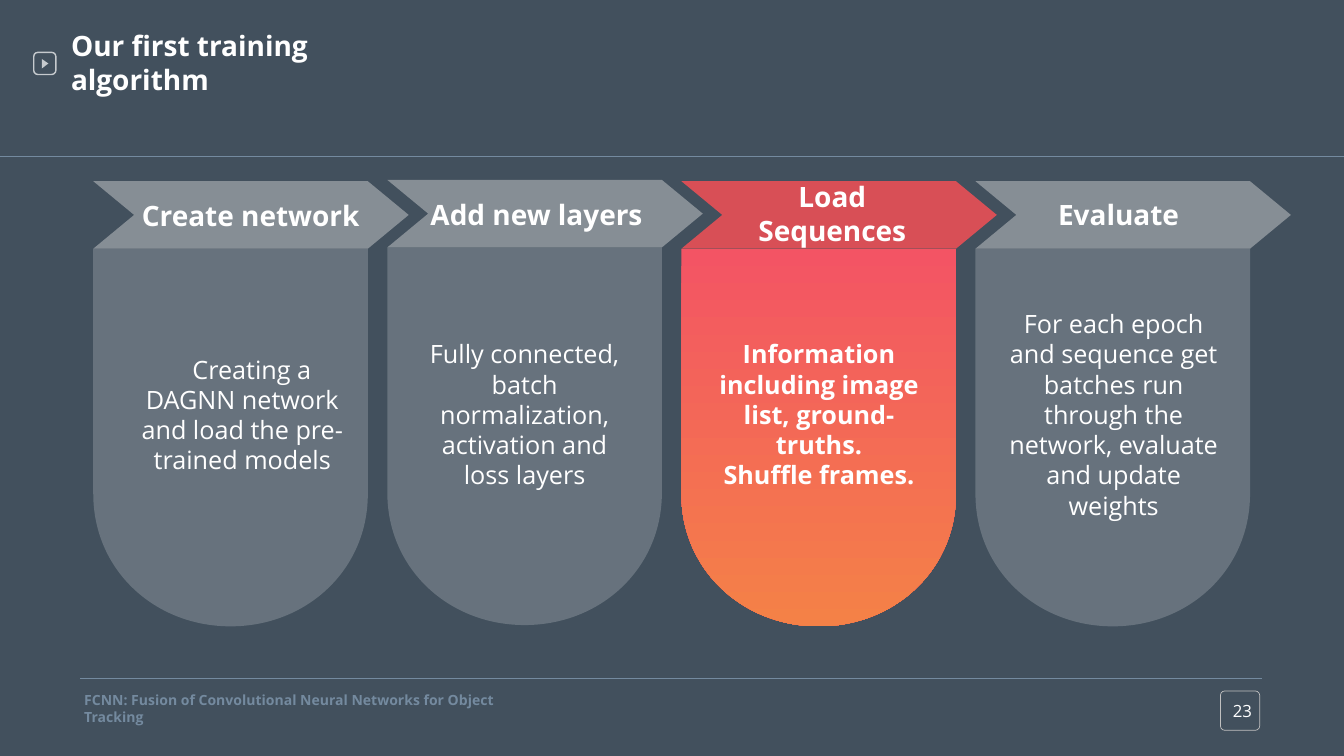
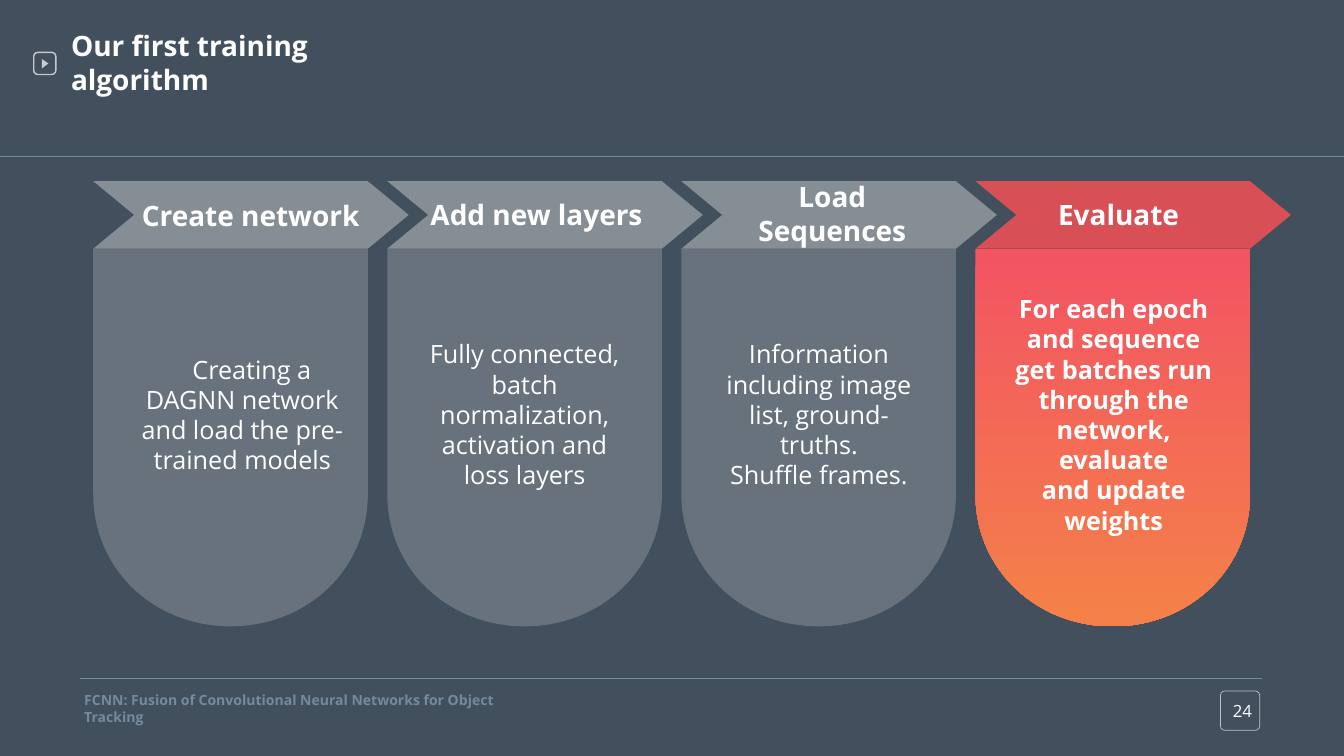
from lxml.etree import SubElement
from pptx import Presentation
from pptx.dml.color import RGBColor
from pptx.enum.shapes import MSO_CONNECTOR, MSO_SHAPE
from pptx.enum.text import MSO_ANCHOR, MSO_AUTO_SIZE, PP_ALIGN
from pptx.oxml.ns import qn
from pptx.util import Inches, Pt

WIDE, HIGH = Inches(26.67), Inches(15)
FONT = "Open Sans"
INK = {
    "back": "42505D", "white": "FFFFFF", "rule": "748A9F", "frame": "C0C0C0",
    "head": "A4A9AD", "body": "BDC3C7", "hot": "D84F56",
    "top": "F35464", "base": "F48147",
}
LEFT, PITCH, SPAN = 6.94, 21.88, 20.43
TOP, MID, SEAM, BEND, FOOT = 23.97, 28.43, 32.9, 65.33, 82.85
NOTCH, PULL, DROP = 3.04, 4.57, 75.4
TITLE = "Our first training algorithm"
TAG = "FCNN: Fusion of Convolutional Neural Networks for Object Tracking"
STEPS = [
    {"name": "Create network", "head": (3.52, 25.2, 16.39),
     "note": (0.93, 18.45, 12.87), "indent": True,
     "lines": ["Creating a DAGNN network and load the pre-trained models"]},
    {"name": "Add new layers", "head": (2.45, 25.13, 17.29),
     "note": (2.04, 16.35, 20.93),
     "lines": ["Fully connected, batch normalization, activation and loss layers"]},
    {"name": "Load Sequences", "head": (3.03, 24.93, 16.39),
     "note": (2.06, 16.35, 20.93),
     "lines": ["Information including image list, ground-truths.", "Shuffle frames."]},
    {"name": "Evaluate", "head": (2.45, 25.13, 16.39),
     "note": (2.11, 16.35, 29),
     "lines": ["For each epoch and sequence get batches run through the network, evaluate",
               "and update weights"]},
]


def spot(x, y):
    """Turn percent shares of the slide into a point."""
    return round(WIDE * x / 100), round(HIGH * y / 100)


def tint(key):
    """Look up a colour by name."""
    return RGBColor.from_string(INK[key])


def fade(shape, share):
    """Make the shape's own colours partly opaque."""
    for clr in shape.element.spPr.iter(qn("a:srgbClr")):
        SubElement(clr, qn("a:alpha")).set("val", str(share * 1000))


def rule(slide, left, right, y):
    """Draw a thin level line."""
    line = slide.shapes.add_connector(
        MSO_CONNECTOR.STRAIGHT, *spot(left, y), *spot(right, y))
    line.line.color.rgb = tint("rule")
    line.line.width = Pt(1)
    SubElement(line.element.spPr, qn("a:effectLst"))


def frame(slide, area, curve, key, width):
    """Draw an unfilled rounded frame."""
    shape = slide.shapes.add_shape(
        MSO_SHAPE.ROUNDED_RECTANGLE, *spot(*area[:2]), *spot(*area[2:]))
    shape.adjustments[0] = curve
    shape.shadow.inherit = False
    shape.fill.background()
    shape.line.color.rgb = tint(key)
    shape.line.width = Pt(width)
    return shape


def outline(slide, points):
    """Draw a closed outline with no line around it."""
    first, *rest = [spot(*point) for point in points]
    pen = slide.shapes.build_freeform(*first)
    pen.add_line_segments(rest, close=True)
    shape = pen.convert_to_shape()
    shape.shadow.inherit = False
    shape.line.fill.background()
    return shape


def bend(shape, start):
    """Merge three straight steps from start into one curve."""
    steps = list(shape.element.spPr.iter(qn("a:lnTo")))[start:start + 3]
    curve = steps[0].makeelement(qn("a:cubicBezTo"))
    steps[0].addprevious(curve)
    for step in steps:
        curve.append(step[0])
        step.getparent().remove(step)


def paint(shape, key, share=100):
    """Fill a shape with one colour."""
    shape.fill.solid()
    shape.fill.fore_color.rgb = tint(key)
    if share < 100:
        fade(shape, share)


def glow(shape):
    """Fill a shape with the downward gradient."""
    shape.fill.gradient()
    shape.fill.gradient_angle = 270
    for stop, key, place in zip(shape.fill.gradient_stops, ("top", "base"), (0, 1)):
        stop.color.rgb = tint(key)
        stop.position = place


def write(shape, lines, size, key="white", bold=False,
          align=PP_ALIGN.CENTER, inset=0.06, indent=False):
    """Set the text of a shape, one paragraph a line."""
    frame = shape.text_frame
    frame.word_wrap = True
    frame.auto_size = MSO_AUTO_SIZE.NONE
    frame.vertical_anchor = MSO_ANCHOR.MIDDLE
    frame.margin_left = frame.margin_right = Inches(inset)
    frame.margin_top = frame.margin_bottom = Inches(inset)
    for row, line in enumerate(lines):
        para = frame.add_paragraph() if row else frame.paragraphs[0]
        para.alignment = align
        para.space_before = Pt(0)
        if indent:
            para.level = 1
            props = para._p.get_or_add_pPr()
            props.set("marL", str(Inches(0.5)))
            props.set("indent", str(Inches(0.38)))
        run = para.add_run()
        run.text = line
        font = run.font
        font.name, font.size, font.bold = FONT, Pt(size), bold
        font.color.rgb = tint(key)


def label(slide, area, lines, size, **style):
    """Add a text box."""
    shape = slide.shapes.add_textbox(*spot(*area[:2]), *spot(*area[2:]))
    write(shape, lines, size, **style)


def column(slide, left, lift, hot):
    """Draw one step's rounded body and its arrow head."""
    right, half = left + SPAN, left + SPAN / 2
    body = outline(slide, [(x, y - lift) for x, y in (
        (left, SEAM), (left, BEND),
        (left, DROP), (left + PULL, FOOT), (half, FOOT),
        (right - PULL, FOOT), (right, DROP), (right, BEND),
        (right, SEAM))])
    bend(body, 4)
    bend(body, 1)
    head = outline(slide, [(x, y - lift) for x, y in (
        (right, TOP), (left, TOP), (left + NOTCH, MID), (left, SEAM),
        (right, SEAM), (right + NOTCH, MID))])
    if hot:
        glow(body)
        paint(head, "hot")
    else:
        paint(body, "body", 30)
        paint(head, "head", 70)


def caption(slide, step, left, hot):
    """Write one step's name and note."""
    shift, top, wide = step["head"]
    label(slide, (left + shift, top, wide, 6.53), [step["name"]], 40,
          bold=True, inset=0)
    shift, wide, high = step["note"]
    label(slide, (left + shift, 54.8 - high / 2, wide, high), step["lines"], 36,
          bold=hot, indent=step.get("indent", False))


def share(slide, layout):
    """Draw the badge, rules and footer, and move them to the layout."""
    fade(frame(slide, (2.51, 6.93, 1.65, 2.93), 0.19, "white", 2), 70)
    paint(outline(slide, [(3.11, 7.8), (3.11, 9.07), (3.6, 8.4)]), "white", 70)
    rule(slide, 5.99, 93.89, 89.73)
    frame(slide, (90.81, 91.4, 2.92, 5.2), 0.11, "frame", 1)
    label(slide, (6.04, 92.15, 34.53, 3), [TAG], 20, key="rule", bold=True,
          align=PP_ALIGN.LEFT)
    rule(slide, 0, 100, 20.73)
    for item in list(layout.placeholders)[1:]:
        item.element.getparent().remove(item.element)
    parts = [part for part in slide.shapes if not part.is_placeholder]
    for number, part in enumerate(parts, 20):
        next(part.element.iter(qn("p:cNvPr"))).set("id", str(number))
        layout.shapes.element.append(part.element)


def base(slide, number):
    """Set a slide's title and number."""
    title = slide.shapes.title
    title.left, title.top = spot(5.06, 5.6)
    title.width, title.height = spot(27.18, 5.27)
    write(title, [TITLE], 40, bold=True, align=PP_ALIGN.LEFT)
    label(slide, (91.34, 92.27, 2.21, 3.47), [str(number)], 24)


def main():
    """Build both slides, each with its own step lit."""
    deck = Presentation()
    deck.slide_width, deck.slide_height = WIDE, HIGH
    fill = deck.slide_master.background.fill
    fill.solid()
    fill.fore_color.rgb = tint("back")
    layout = deck.slide_layouts[5]
    for number, lit, lifts in ((23, 2, (0, 0.17, 0, 0)), (24, 3, (0, 0, 0, 0))):
        slide = deck.slides.add_slide(layout)
        if number == 23:
            share(slide, layout)
        spots = [LEFT + PITCH * place for place in range(len(STEPS))]
        for place in sorted(range(len(STEPS)), key=lambda n: n != lit):
            column(slide, spots[place], lifts[place], place == lit)
        base(slide, number)
        for place, step in enumerate(STEPS):
            caption(slide, step, spots[place], place == lit)
    deck.save("out.pptx")


if __name__ == "__main__":
    main()
